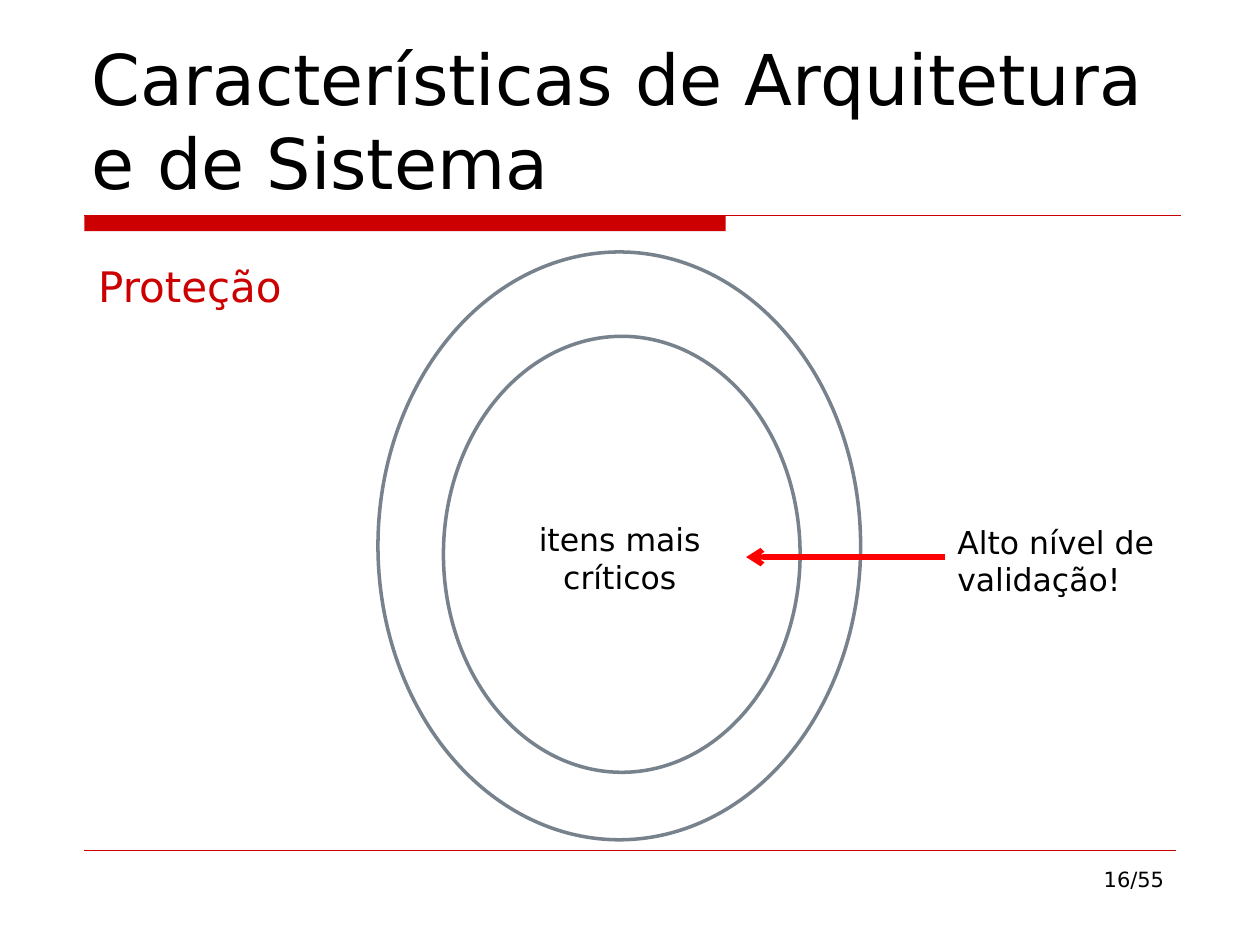
from lxml.etree import SubElement
from pptx import Presentation
from pptx.dml.color import RGBColor
from pptx.enum.shapes import MSO_CONNECTOR as Link, MSO_SHAPE as Kind
from pptx.enum.text import MSO_ANCHOR as Anchor, MSO_AUTO_SIZE as Auto, PP_ALIGN as Align
from pptx.oxml.ns import qn
from pptx.util import Cm, Pt

# Content: places in cm as left, top, width, height
FONT = "DejaVu Sans"
RED, BLACK, GREY, BRIGHT = "CC0000", "000000", "77828D", "FF0000"
TITLE = ("Características de Arquitetura e de Sistema", (1.6, 0.84, 22.23, 3.38), 40)
TEXTS = [
    ("16/55", (18.21, 17.35, 5.51, 1.32), 12, BLACK, Align.RIGHT),
    ("itens mais críticos", (10.59, 10.36, 3.81, 1.78), 18, BLACK, Align.CENTER),
    ("Alto nível de validação!", (19.05, 10.41, 5.72, 1.78), 18, BLACK, Align.LEFT),
    ("Proteção", (1.73, 5.13, 6.3, 1.27), 24, RED, Align.LEFT),
]
RINGS = [(7.62, 5.08, 9.73, 11.85), (8.94, 6.78, 7.19, 8.79)]
BAR = (1.7, 4.34, 12.93, 0.32)
# Lines: start x, y, end x, y, colour, width, arrowhead
LINES = [
    (1.7, 4.34, 23.8, 4.34, RED, 0.75, False),
    (1.7, 17.15, 23.7, 17.15, RED, 0.25, False),
    (19.05, 11.23, 15.04, 11.23, BRIGHT, 3, True),
]


def cms(nums):
    return [Cm(n) for n in nums]


def paint(part, tone):
    part.solid()
    part.fore_color.rgb = RGBColor.from_string(tone)


def write(frame, text, size, tone, align):
    frame.text = text
    frame.word_wrap = True
    frame.auto_size = Auto.NONE
    para = frame.paragraphs[0]
    para.alignment = align
    para.font.name, para.font.size = FONT, Pt(size)
    paint(para.font.fill, tone)


def add_line(x1, y1, x2, y2, tone, width, arrow):
    line = shapes.add_connector(Link.STRAIGHT, *cms((x1, y1, x2, y2)))
    paint(line.line.fill, tone)
    line.line.width = Pt(width)
    props = line.element.spPr
    if arrow:
        SubElement(props.find(qn("a:ln")), qn("a:tailEnd"), type="arrow")
    SubElement(props, qn("a:effectLst"))


deck = Presentation()
deck.slide_width, deck.slide_height = Cm(25.4), Cm(19.05)
slide = deck.slides.add_slide(deck.slide_layouts[5])
shapes = slide.shapes

# Title
text, place, size = TITLE
title = shapes.title
title.left, title.top, title.width, title.height = cms(place)
write(title.text_frame, text, size, BLACK, Align.LEFT)
title.text_frame.vertical_anchor = Anchor.BOTTOM

# Bar under the title
bar = shapes.add_shape(Kind.RECTANGLE, *cms(BAR))
bar.shadow.inherit = False
paint(bar.fill, RED)
bar.line.fill.background()

# Rings
for place in RINGS:
    ring = shapes.add_shape(Kind.OVAL, *cms(place))
    ring.shadow.inherit = False
    ring.fill.background()
    paint(ring.line.fill, GREY)
    ring.line.width = Pt(2)

# Rules and arrow
for row in LINES:
    add_line(*row)

# Labels and page number
for text, place, size, tone, align in TEXTS:
    box = shapes.add_textbox(*cms(place))
    write(box.text_frame, text, size, tone, align)

deck.save("out.pptx")
